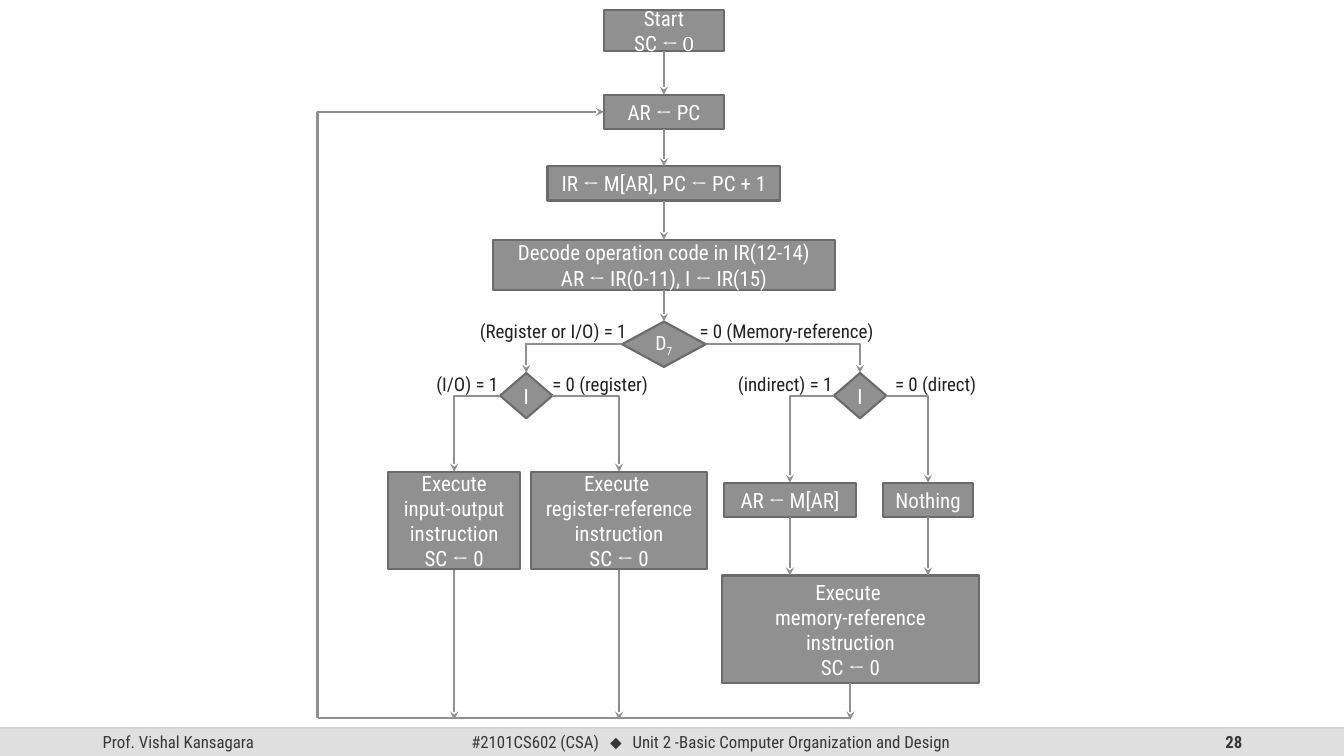
from dataclasses import dataclass
from itertools import pairwise

from lxml.etree import SubElement
from pptx import Presentation
from pptx.dml.color import RGBColor
from pptx.enum.shapes import MSO_CONNECTOR as Link, MSO_SHAPE as Shape
from pptx.enum.text import MSO_ANCHOR as Anchor, MSO_AUTO_SIZE as AutoSize, PP_ALIGN as Align
from pptx.oxml.ns import qn
from pptx.util import Inches, Pt

TOP, LEFT, BOTTOM, RIGHT = range(4)


@dataclass(frozen=True)
class Theme:
    """Colours, fonts and type sizes of the slide."""
    fill: str = "909090"
    border: str = "6B6B6B"
    light: str = "FFFFFF"
    label: str = "212121"
    footer: str = "373737"
    bar: str = "DFDFDF"
    rule: str = "BFBFBF"
    font: str = "Roboto Condensed"
    arrow_font: str = "Cambria"
    bullet_font: str = "Arial"
    step_size: float = 15
    test_size: float = 14
    label_size: float = 13.5
    footer_size: float = 12
    stroke: float = 1.5


@dataclass(frozen=True)
class Box:
    """A rectangle in inches."""
    left: float
    top: float
    width: float
    height: float

    def inner(self, x, y, width, height):
        """Return a box offset from this one's corner."""
        return Box(self.left + x, self.top + y, width, height)

    def emu(self):
        """Return the four lengths for python-pptx."""
        return [Inches(v) for v in (self.left, self.top, self.width, self.height)]


THEME = Theme()


def add_run(paragraph, text, size, colour, font=THEME.font, bold=False):
    """Add one formatted run."""
    run = paragraph.add_run()
    run.text = text
    run.font.size = Pt(size)
    run.font.name = font
    run.font.bold = bold
    run.font.color.rgb = RGBColor.from_string(colour)
    return run


def add_step(slide, box, lines, kind=Shape.RECTANGLE, size=THEME.step_size):
    """Draw a flowchart node; text between bars takes the arrow font."""
    node = slide.shapes.add_shape(kind, *box.emu())
    node.shadow.inherit = False
    node.fill.solid()
    node.fill.fore_color.rgb = RGBColor.from_string(THEME.fill)
    node.line.color.rgb = RGBColor.from_string(THEME.border)
    node.line.width = Pt(THEME.stroke)
    frame = node.text_frame
    frame.word_wrap = True
    frame.vertical_anchor = Anchor.MIDDLE
    if kind == Shape.DIAMOND:
        frame.margin_left = frame.margin_right = 0
    for index, line in enumerate(lines):
        paragraph = frame.add_paragraph() if index else frame.paragraphs[0]
        paragraph.alignment = Align.CENTER
        for part, text in enumerate(line.split("|")):
            add_run(paragraph, text, size, THEME.light, THEME.arrow_font if part % 2 else THEME.font)
    return node


def add_line(slide, start, end, bent=False, arrow="tailEnd", colour=THEME.fill, width=THEME.stroke):
    """Draw a straight line or one-corner bend between two points in EMU."""
    line = slide.shapes.add_connector(Link.ELBOW if bent else Link.STRAIGHT, *start, *end)
    line.line.color.rgb = RGBColor.from_string(colour)
    line.line.width = Pt(width)
    properties = line._element.spPr
    if bent:
        properties.find(qn("a:prstGeom")).set("prst", "bentConnector2")
    if arrow:
        SubElement(properties.find(qn("a:ln")), qn(f"a:{arrow}"), type="stealth")
    SubElement(properties, qn("a:effectLst"))
    return line


def port(node, site):
    """Return the point of a node's connection site."""
    x = {LEFT: 0, RIGHT: node.width}.get(site, node.width // 2)
    y = {TOP: 0, BOTTOM: node.height}.get(site, node.height // 2)
    return node.left + x, node.top + y


def join(slide, source, site, target):
    """Connect a node's site to the top of another node."""
    line = add_line(slide, port(source, site), port(target, TOP), bent=site in (LEFT, RIGHT))
    line.begin_connect(source, site)
    line.end_connect(target, TOP)


def add_fetch(slide, box):
    """Stack the fetch and decode steps on the centre of the box."""
    steps = [
        (["Start", "SC |← 0"], 0, 1.19, 0.41),
        (["AR |← |PC"], 0.84, 1.19, 0.34),
        (["IR |← |M[AR], PC |←| PC + 1"], 1.55, 2.31, 0.34),
        (["Decode operation code in IR(12-14)", "AR |←| IR(0-11), I |←| IR(15)"], 2.28, box.width, 0.5),
    ]
    nodes = [add_step(slide, box.inner((box.width - width) / 2, top, width, height), lines)
             for lines, top, width, height in steps]
    for upper, lower in pairwise(nodes):
        join(slide, upper, BOTTOM, lower)
    return nodes


def add_tests(slide, box, decode):
    """Place the three decisions and the labels of their branches."""
    opcode = add_step(slide, box.inner(1.94, 0.07, 0.83, 0.45), ["D"], Shape.DIAMOND, THEME.test_size)
    subscript = add_run(opcode.text_frame.paragraphs[0], "7", THEME.test_size, THEME.light)
    subscript.font._element.set("baseline", "-25000")
    join(slide, decode, BOTTOM, opcode)
    modes = [add_step(slide, box.inner(x, 0.58, 0.52, 0.45), ["I"], Shape.DIAMOND) for x in (0.73, 4.04)]
    for site, mode in zip((LEFT, RIGHT), modes):
        join(slide, opcode, site, mode)
    labels = [
        ("(Register or I/O) = 1", 0.43, 0, 1.71),
        ("= 0 (Memory-reference)", 2.61, 0, 2.05),
        ("(I/O) = 1", 0, 0.53, 0.84),
        ("= 0 (register)", 1.15, 0.53, 1.18),
        ("(indirect) = 1", 2.99, 0.53, 1.18),
        ("= 0 (direct)", 4.55, 0.53, 1.04),
    ]
    for text, x, y, width in labels:
        frame = slide.shapes.add_textbox(*box.inner(x, y, width, 0.33).emu()).text_frame
        frame.word_wrap = False
        frame.auto_size = AutoSize.SHAPE_TO_FIT_TEXT
        add_run(frame.paragraphs[0], text, THEME.label_size, THEME.label)
    return modes


def add_execution(slide, box, modes):
    """Place the execution steps below the decisions and return the final ones."""
    reset = "SC |←| 0"
    input_output = add_step(slide, box.inner(0, 0, 1.31, 0.97), ["Execute input-output instruction", reset])
    register = add_step(slide, box.inner(1.42, 0, 1.74, 0.97),
                        ["Execute ", "register-reference instruction", reset])
    indirect = add_step(slide, box.inner(3.33, 0.11, 1.31, 0.34), ["AR |← |M[AR]"])
    direct = add_step(slide, box.inner(4.91, 0.11, 0.89, 0.34), ["Nothing"])
    memory = add_step(slide, box.inner(3.31, 1.03, 2.55, 1.07),
                      ["Execute ", "memory-reference instruction", reset])
    branches = zip(modes, ((input_output, register), (indirect, direct)))
    for mode, (left, right) in branches:
        join(slide, mode, LEFT, left)
        join(slide, mode, RIGHT, right)
    for operand in (indirect, direct):
        x, y = port(operand, BOTTOM)
        add_line(slide, (x, y), (x, memory.top))
    return input_output, register, memory


def add_return(slide, box, final_steps, fetch):
    """Collect the final steps on a line leading back to the fetch step."""
    left, base = Inches(box.left), Inches(box.top + box.height)
    for step in final_steps:
        x, y = port(step, BOTTOM)
        add_line(slide, (x, y), (x, base + Inches(0.02)))
    add_line(slide, (x, base), (left, base), arrow=None)
    add_line(slide, port(fetch, LEFT), (left, base), bent=True, arrow="headEnd")


def add_footer(slide, box):
    """Draw the footer bar with author, course and page number."""
    bar = slide.shapes.add_shape(Shape.RECTANGLE, *box.emu())
    bar.shadow.inherit = False
    bar.fill.solid()
    bar.fill.fore_color.rgb = RGBColor.from_string(THEME.bar)
    bar.line.fill.background()
    rule = add_line(slide, (bar.left, bar.top), (bar.left + bar.width, bar.top),
                    arrow=None, colour=THEME.rule, width=1)
    SubElement(rule._element.spPr.find(".//" + qn("a:srgbClr")), qn("a:alpha"), val="70000")
    course = ["#2101CS602 (CSA)", " ", "⬥", " ", "Unit 2 -Basic Computer Organization and Design"]
    parts = [
        (["Prof. Vishal Kansagara"], 0.92, 3, Align.LEFT, False),
        (course, 3.05, 8, Align.CENTER, False),
        (["28"], 9.42, 3, Align.RIGHT, True),
    ]
    for texts, x, width, alignment, bold in parts:
        frame = slide.shapes.add_textbox(*box.inner(x, 0, width, box.height).emu()).text_frame
        frame.word_wrap = True
        frame.vertical_anchor = Anchor.MIDDLE
        paragraph = frame.paragraphs[0]
        paragraph.alignment = alignment
        for text in texts:
            font = THEME.bullet_font if text == "⬥" else THEME.font
            run = add_run(paragraph, text, THEME.footer_size, THEME.footer, font, bold)
            if text == " ":
                run.font._element.set("spc", "500")


def main():
    """Build the instruction cycle flowchart slide."""
    deck = Presentation()
    deck.slide_width, deck.slide_height = Inches(13.33), Inches(7.5)
    slide = deck.slides.add_slide(deck.slide_layouts[6])
    add_footer(slide, Box(0, 7.22, 13.33, 0.28))
    steps = add_fetch(slide, Box(4.89, 0.1, 3.39, 2.78))
    modes = add_tests(slide, Box(4.23, 3.12, 5.59, 1.03), steps[-1])
    final_steps = add_execution(slide, Box(3.85, 4.68, 5.86, 2.1), modes)
    add_return(slide, Box(3.15, 1.11, 5.28, 6.01), final_steps, steps[1])
    deck.save("out.pptx")


if __name__ == "__main__":
    main()
